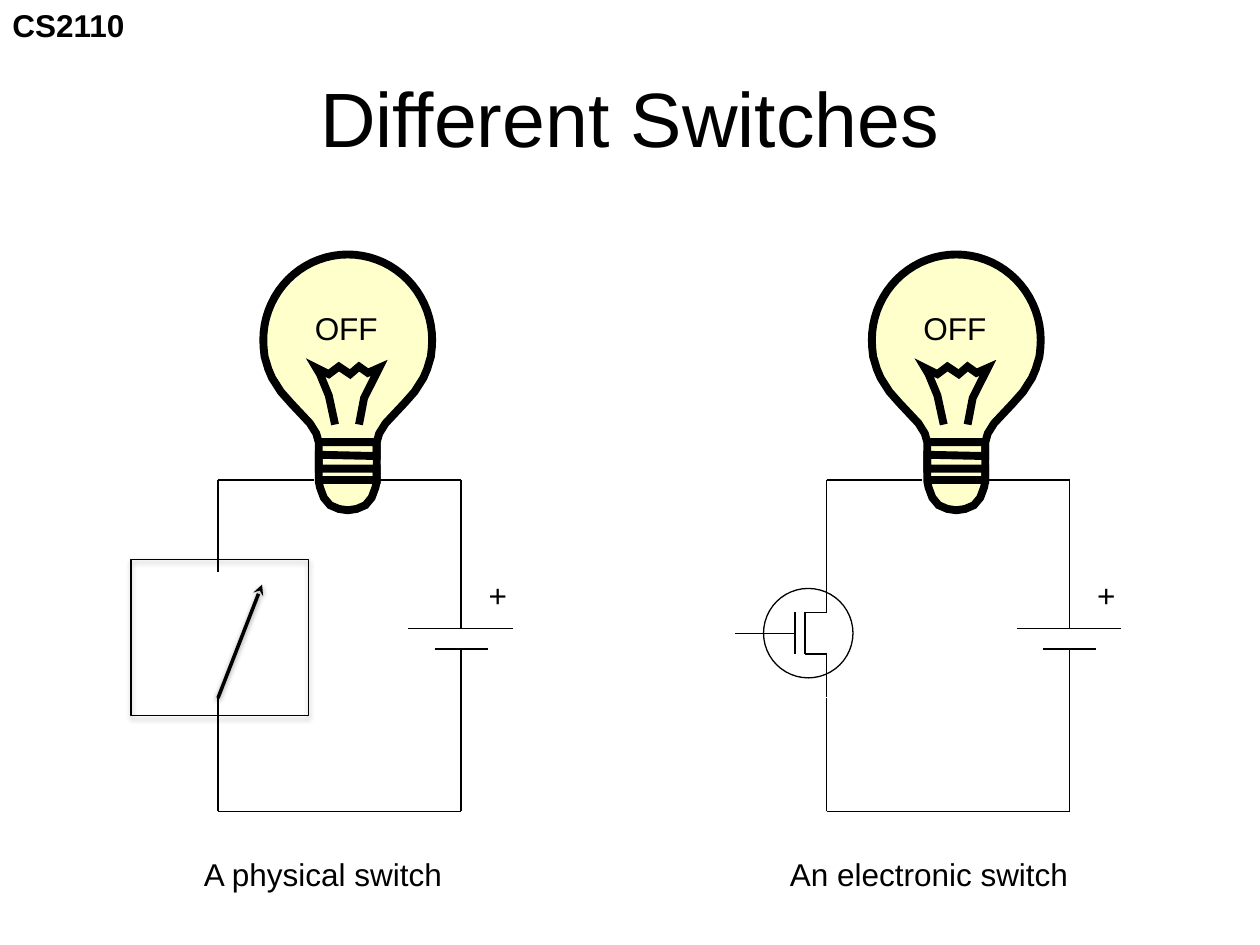
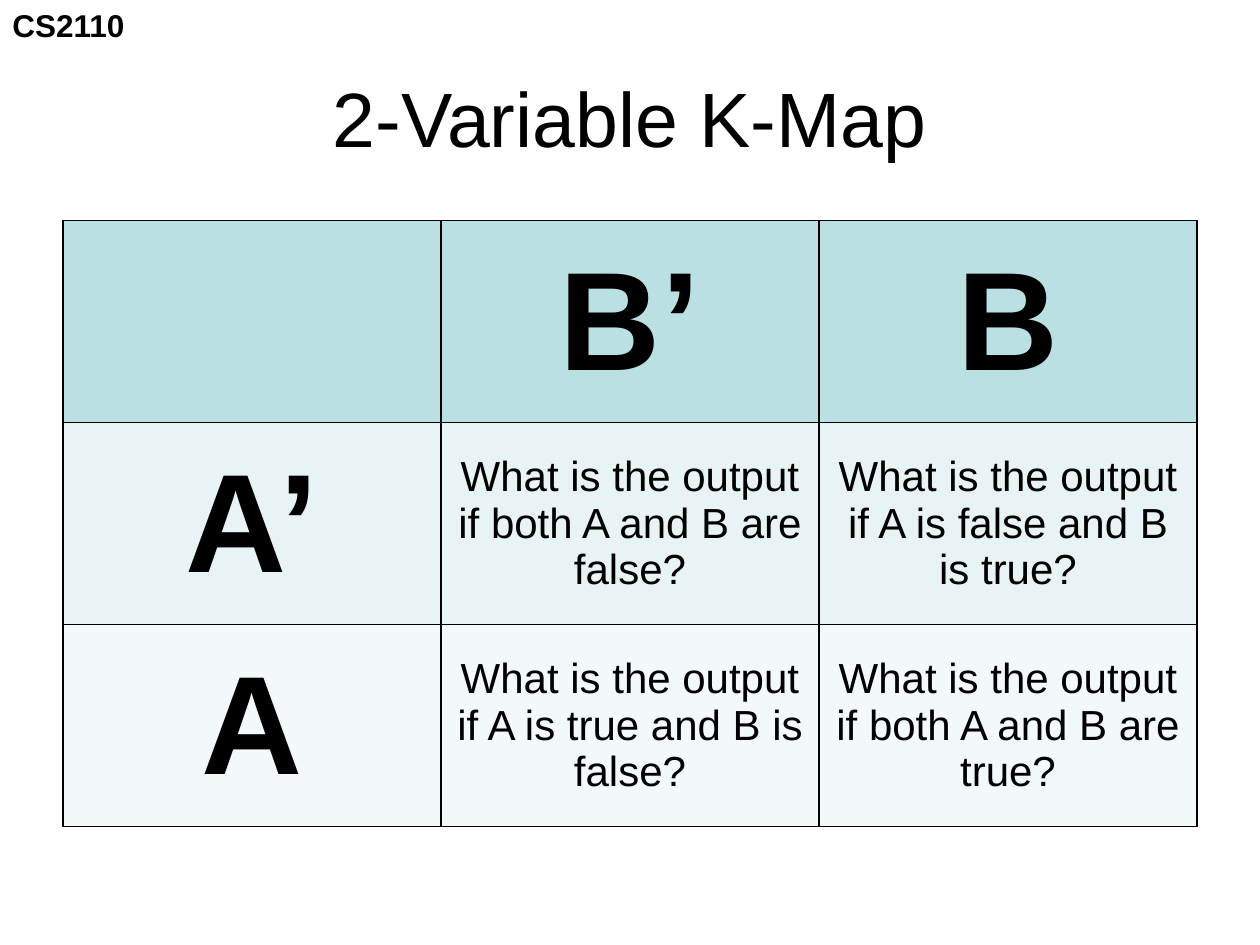
import math

import lxml.etree
import pptx
import pptx.dml.color
import pptx.enum.shapes
import pptx.enum.text
import pptx.oxml
import pptx.oxml.ns
import pptx.util

Inches = pptx.util.Inches
Pt = pptx.util.Pt
qn = pptx.oxml.ns.qn
ALIGN = pptx.enum.text.PP_ALIGN
MIDDLE = pptx.enum.text.MSO_ANCHOR.MIDDLE
SHAPE = pptx.enum.shapes.MSO_SHAPE

FONT = "Arial"
COLORS = {
    "ink": "000000",
    "bulb": "FFFFCC",
    "header": "BBE0E3",
    "row_a_false": "E7F3F4",
    "row_a_true": "F3F9FA",
}
THIN = 0.75

# Right half of the bulb below its round top: (offset from axis, depth)
BULB_SIDE = [
    (0.66, 0.81), (0.63, 0.91), (0.6, 0.98), (0.53, 1.09), (0.45, 1.18),
    (0.3, 1.34), (0.25, 1.42), (0.23, 1.49), (0.23, 1.8), (0.22, 1.85),
    (0.19, 1.93), (0.14, 1.99), (0.07, 2.02), (0, 2.03),
]
FILAMENT = [
    (-0.1, 1.35), (-0.15, 1.12), (-0.22, 0.95), (-0.25, 0.9), (-0.15, 0.95),
    (-0.07, 0.89), (0.02, 0.95), (0.09, 0.89), (0.16, 0.94), (0.25, 0.9),
    (0.13, 1.14), (0.09, 1.35),
]
SCREW_THREAD = [
    (-0.23, 1.49), (0.23, 1.49), (0.23, 1.6), (-0.23, 1.59),
    (-0.23, 1.7), (0.23, 1.7), (0.23, 1.79), (-0.23, 1.79),
]


def rgb(name):
    return pptx.dml.color.RGBColor.from_string(COLORS[name])


def set_line(shape, width):
    shape.line.color.rgb = rgb("ink")
    shape.line.width = Pt(width)


def write(tf, text, size=18, bold=False, align=ALIGN.LEFT):
    p = tf.paragraphs[0]
    p.alignment = align
    r = p.add_run()
    r.text = text
    r.font.name = FONT
    r.font.size = Pt(size)
    r.font.bold = bold
    r.font.color.rgb = rgb("ink")


def add_text(shapes, text, x, y, w, h=0.4, wrap=False, **fmt):
    tf = shapes.add_textbox(Inches(x), Inches(y), Inches(w), Inches(h)).text_frame
    tf.word_wrap = wrap
    tf.vertical_anchor = MIDDLE if wrap else pptx.enum.text.MSO_ANCHOR.TOP
    write(tf, text, **fmt)


def add_effects(shape, shadow=None):
    """Replace the theme's effects by none, or by a (blur, distance, alpha) shadow."""
    sp_pr = shape._element.spPr
    effects = lxml.etree.SubElement(sp_pr, qn("a:effectLst"))
    if shadow:
        blur, dist, alpha = shadow
        outer = lxml.etree.SubElement(
            effects, qn("a:outerShdw"), blurRad=str(Pt(blur)), dist=str(Pt(dist)),
            dir="5400000", rotWithShape="0")
        color = lxml.etree.SubElement(outer, qn("a:srgbClr"), val=COLORS["ink"])
        lxml.etree.SubElement(color, qn("a:alpha"), val=str(alpha * 1000))


def add_wire(shapes, x1, y1, x2, y2, width=THIN, shadow=None):
    wire = shapes.add_connector(
        pptx.enum.shapes.MSO_CONNECTOR.STRAIGHT,
        Inches(x1), Inches(y1), Inches(x2), Inches(y2))
    set_line(wire, width)
    add_effects(wire, shadow)
    return wire


def add_wires(shapes, x, y, segments):
    for x1, y1, x2, y2 in segments:
        add_wire(shapes, x + x1, y + y1, x + x2, y + y2)


def add_outline(shapes, kind, x, y, w, h, shadow=None):
    shape = shapes.add_shape(kind, Inches(x), Inches(y), Inches(w), Inches(h))
    shape.fill.background()
    set_line(shape, THIN)
    add_effects(shape, shadow)


def add_stroke(shapes, points, axis, top, fill=None):
    """Draw a heavy outline, closed only if it is filled."""
    pts = [(Inches(axis + dx), Inches(top + dy)) for dx, dy in points]
    builder = shapes.build_freeform(*pts[0])
    builder.add_line_segments(pts[1:], close=bool(fill))
    shape = builder.convert_to_shape()
    if fill:
        shape.fill.solid()
        shape.fill.fore_color.rgb = rgb(fill)
    else:
        shape.fill.background()
    set_line(shape, 4.5)
    lxml.etree.SubElement(shape.line._get_or_add_ln(), qn("a:miter"), lim="800000")
    shape.shadow.inherit = False


def add_bulb(shapes, axis, top):
    angles = [math.radians(a) for a in range(0, 96, 5)]
    dome = [(0.67 * math.sin(a), 0.68 - 0.68 * math.cos(a)) for a in angles]
    right = dome + BULB_SIDE
    left = [(-dx, dy) for dx, dy in right[-2:0:-1]]
    add_stroke(shapes, right + left, axis, top, fill="bulb")
    add_stroke(shapes, FILAMENT, axis, top)
    add_stroke(shapes, SCREW_THREAD, axis, top)
    add_text(shapes, "OFF", axis - 0.36, top + 0.38, 0.71)


def add_circuit(shapes, x, y):
    """Bulb, battery and wires, with a gap on the left for a switch."""
    add_wires(shapes, x, y, [
        (2.24, 2.99, 3.07, 2.99), (2.45, 3.15, 2.87, 3.15),  # battery plates
        (2.66, 1.81, 2.66, 2.99), (2.66, 3.15, 2.66, 4.44),  # right side
        (0.73, 2.54, 0.73, 1.81), (0.73, 3.54, 0.73, 4.44),  # left side
        (0.73, 1.81, 1.49, 1.81), (2.02, 1.81, 2.66, 1.81),  # top
        (0.73, 4.44, 2.66, 4.44),                            # bottom
    ])
    add_text(shapes, "+", x + 2.78, y + 2.52, 0.35)
    add_bulb(shapes, x + 1.76, y + 0.02)


def add_physical_switch(shapes, x, y):
    add_outline(shapes, SHAPE.RECTANGLE, x + 0.04, y + 2.44, 1.41, 1.24,
                shadow=(3.1, 1.8, 35))
    lever = add_wire(shapes, x + 0.73, y + 3.54, x + 1.08, y + 2.64,
                     width=2, shadow=(3.1, 1.6, 38))
    lxml.etree.SubElement(lever.line._get_or_add_ln(), qn("a:tailEnd"), type="stealth")


def add_transistor(shapes, x, y):
    add_wires(shapes, x, y, [
        (0.48, 2.86, 0.48, 3.19), (0.56, 2.86, 0.56, 3.19),  # gate and channel
        (0.48, 3.03, 0, 3.03),                               # gate lead
        (0.56, 2.86, 0.73, 2.86), (0.73, 2.53, 0.73, 2.86),  # drain
        (0.56, 3.19, 0.73, 3.19), (0.73, 3.19, 0.73, 3.53),  # source
    ])
    add_outline(shapes, SHAPE.OVAL, x + 0.23, y + 2.67, 0.71, 0.71)


def add_slide(prs, title):
    s = prs.slides.add_slide(prs.slide_layouts[6])
    add_text(s.shapes, "CS2110", 0, 0, 1.1, bold=True)
    add_text(s.shapes, title, 0.5, 0.3, 9, 1.25, wrap=True, size=44, align=ALIGN.CENTER)
    return s


def build_switches(prs):
    s = add_slide(prs, "Different Switches")
    for x, add_switch, caption, caption_x, caption_w in [
        (1, add_physical_switch, "A physical switch", 0.52, 2.12),
        (5.83, add_transistor, "An electronic switch", 0.34, 2.45),
    ]:
        group = s.shapes.add_group_shape().shapes
        add_circuit(group, x, 2)
        add_switch(group, x, 2)
        add_text(s.shapes, caption, x + caption_x, 6.74, caption_w)


def add_borders(cell):
    tc_pr = cell._tc.get_or_add_tcPr()
    for i, side in enumerate(("a:lnL", "a:lnR", "a:lnT", "a:lnB")):
        ln = lxml.etree.Element(qn(side), w=str(Pt(1)))
        fill = lxml.etree.SubElement(ln, qn("a:solidFill"))
        lxml.etree.SubElement(fill, qn("a:srgbClr"), val=COLORS["ink"])
        tc_pr.insert(i, ln)


def build_kmap(prs):
    s = add_slide(prs, "2-Variable K-Map")
    rows = [
        ("header", ["", "B’", "B"]),
        ("row_a_false", ["A’", "What is the output if both A and B are false?",
                         "What is the output if A is false and B is true?"]),
        ("row_a_true", ["A", "What is the output if A is true and B is false?",
                        "What is the output if both A and B are true?"]),
    ]
    table = s.shapes.add_table(
        3, 3, Inches(0.5), Inches(1.75), Inches(9), Inches(4.81)).table
    for i, (color, texts) in enumerate(rows):
        for j, text in enumerate(texts):
            cell = table.cell(i, j)
            cell.fill.solid()
            cell.fill.fore_color.rgb = rgb(color)
            cell.vertical_anchor = MIDDLE
            add_borders(cell)
            if text:
                label = i == 0 or j == 0
                write(cell.text_frame, text, size=80 if label else 24,
                      bold=label, align=ALIGN.CENTER)


def main():
    prs = pptx.Presentation()
    prs.slide_width = Inches(10)
    prs.slide_height = Inches(7.5)
    build_switches(prs)
    build_kmap(prs)
    prs.save("out.pptx")


if __name__ == "__main__":
    main()
